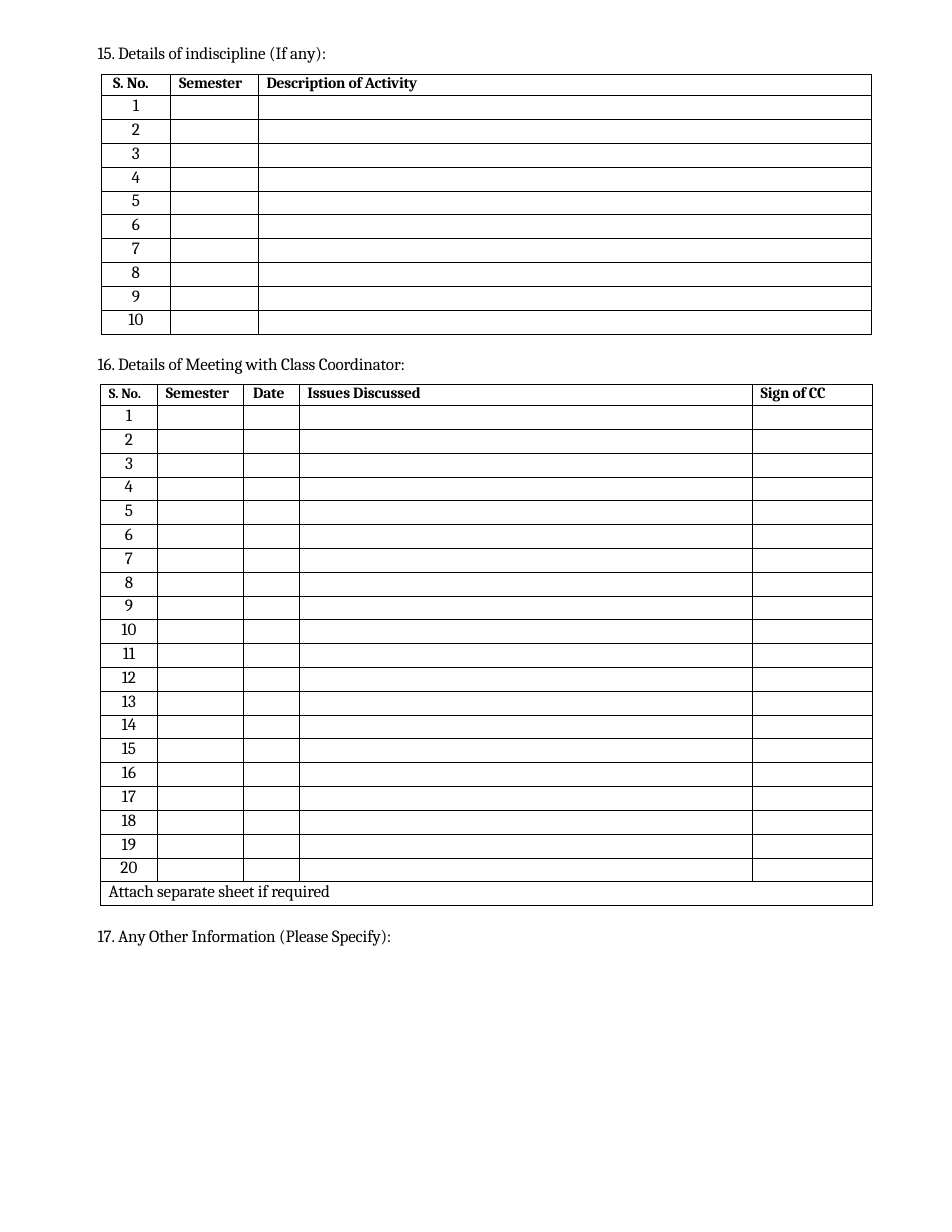
from dataclasses import dataclass

from lxml import etree
from pptx import Presentation
from pptx.dml.color import RGBColor
from pptx.enum.text import MSO_ANCHOR, MSO_AUTO_SIZE, PP_ALIGN
from pptx.oxml.ns import qn
from pptx.util import Pt

LEFT, CENTER = PP_ALIGN.LEFT, PP_ALIGN.CENTER
TOP = MSO_ANCHOR.TOP
NO_AUTOFIT = MSO_AUTO_SIZE.NONE
TITLE_ONLY = 5


@dataclass(frozen=True)
class Theme:
    font: str = "Cambria"
    ink: str = "000000"
    paper: str = "FFFFFF"
    body: float = 11
    header: float = 10
    small_header: float = 9
    empty: float = 8
    border: float = 0.5
    tight: float = -0.1


THEME = Theme()
HEADING_LEFT, HEADING_HEIGHT = 61.9, 15.1
ROW_HEIGHT = 15.31


def write_text(frame, text, size=THEME.body, bold=False, align=LEFT,
               tracking=0, line=None, before=0):
    """Write one formatted paragraph into a text frame."""
    paragraph = frame.paragraphs[0]
    paragraph.alignment = align
    paragraph.space_before = Pt(before)
    if line:
        paragraph.line_spacing = Pt(line)
    run = paragraph.add_run()
    run.text = text
    font = run.font
    font.name, font.size, font.bold = THEME.font, Pt(size), bold
    font.color.rgb = RGBColor.from_string(THEME.ink)
    if tracking:
        run._r.get_or_add_rPr().set("spc", str(round(tracking * 100)))


def add_heading(slide, text, top, width, holder=None):
    """Place a numbered section heading, in a placeholder if one is given."""
    box = (Pt(HEADING_LEFT), Pt(top), Pt(width), Pt(HEADING_HEIGHT))
    if holder is None:
        holder = slide.shapes.add_textbox(*box)
    else:
        holder.left, holder.top, holder.width, holder.height = box
    frame = holder.text_frame
    frame.word_wrap = True
    frame.auto_size = NO_AUTOFIT
    frame.vertical_anchor = TOP
    frame.margin_left = frame.margin_top = Pt(0.9)
    frame.margin_right = frame.margin_bottom = 0
    write_text(frame, text, tracking=THEME.tight, before=1)


def border_cell(cell):
    """Draw a thin line on all four sides of a cell."""
    properties = cell._tc.get_or_add_tcPr()
    for index, side in enumerate(("a:lnL", "a:lnR", "a:lnT", "a:lnB")):
        line = etree.Element(qn(side), w=str(int(Pt(THEME.border))))
        fill = etree.SubElement(line, qn("a:solidFill"))
        etree.SubElement(fill, qn("a:srgbClr"), val=THEME.ink)
        properties.insert(index, line)


def format_cell(cell):
    cell.margin_left = cell.margin_right = 0
    cell.margin_top = cell.margin_bottom = 0
    cell.vertical_anchor = TOP
    cell.fill.solid()
    cell.fill.fore_color.rgb = RGBColor.from_string(THEME.paper)
    border_cell(cell)
    # Keep empty cells from stretching their row
    etree.SubElement(cell.text_frame.paragraphs[0]._p, qn("a:endParaRPr"),
                     sz=str(round(THEME.empty * 100)))


def add_form(slide, left, top, columns, entries, header_height, footer=None):
    """Add a blank form; columns are (label, width, indent, size)."""
    row_count = 1 + entries + bool(footer)
    widths = [width for _, width, _, _ in columns]
    height = header_height + ROW_HEIGHT * (row_count - 1)
    form = slide.shapes.add_table(row_count, len(columns), Pt(left), Pt(top),
                                  Pt(sum(widths)), Pt(height)).table
    form.first_row = form.horz_banding = False
    for column, width in zip(form.columns, widths):
        column.width = Pt(width)
    for index, row in enumerate(form.rows):
        row.height = Pt(ROW_HEIGHT if index else header_height)
        for cell in row.cells:
            format_cell(cell)

    # Header row
    for index, (label, _, indent, size) in enumerate(columns):
        cell = form.cell(0, index)
        cell.margin_left = Pt(indent)
        write_text(cell.text_frame, label, size=size, bold=True,
                   tracking=THEME.tight, line=11.8)

    # Serial numbers
    for number in range(1, entries + 1):
        write_text(form.cell(number, 0).text_frame, str(number),
                   align=CENTER, line=13)

    # Note across the last row
    if footer:
        note = form.cell(row_count - 1, 0)
        note.merge(form.cell(row_count - 1, len(columns) - 1))
        note.margin_left = Pt(5.3)
        write_text(note.text_frame, footer, tracking=THEME.tight, line=13.1)


def main():
    deck = Presentation()
    deck.slide_width, deck.slide_height = Pt(612), Pt(792)
    slide = deck.slides.add_slide(deck.slide_layouts[TITLE_ONLY])

    # Indiscipline
    add_heading(slide, "15. Details of indiscipline (If any):", 26.6, 161.3,
                holder=slide.shapes.title)
    add_form(slide, 65.1, 47.6, [
        ("S. No.", 44.5, 7.6, THEME.header),
        ("Semester", 56.6, 5.5, THEME.header),
        ("Description of Activity", 394.2, 5.2, THEME.header),
    ], entries=10, header_height=14)

    # Meetings with the class coordinator
    add_heading(slide, "16. Details of Meeting with Class Coordinator:",
                226, 217.4)
    add_form(slide, 64.6, 246.9, [
        ("S. No.", 36.6, 5.4, THEME.small_header),
        ("Semester", 55.4, 5.5, THEME.header),
        ("Date", 36, 6.2, THEME.header),
        ("Issues Discussed", 291.4, 5.1, THEME.header),
        ("Sign of CC", 77.1, 5.1, THEME.header),
    ], entries=20, header_height=13.8,
        footer="Attach separate sheet if required")

    # Other information
    add_heading(slide, "17. Any Other Information (Please Specify):",
                594, 206.6)

    deck.save("out.pptx")


main()
